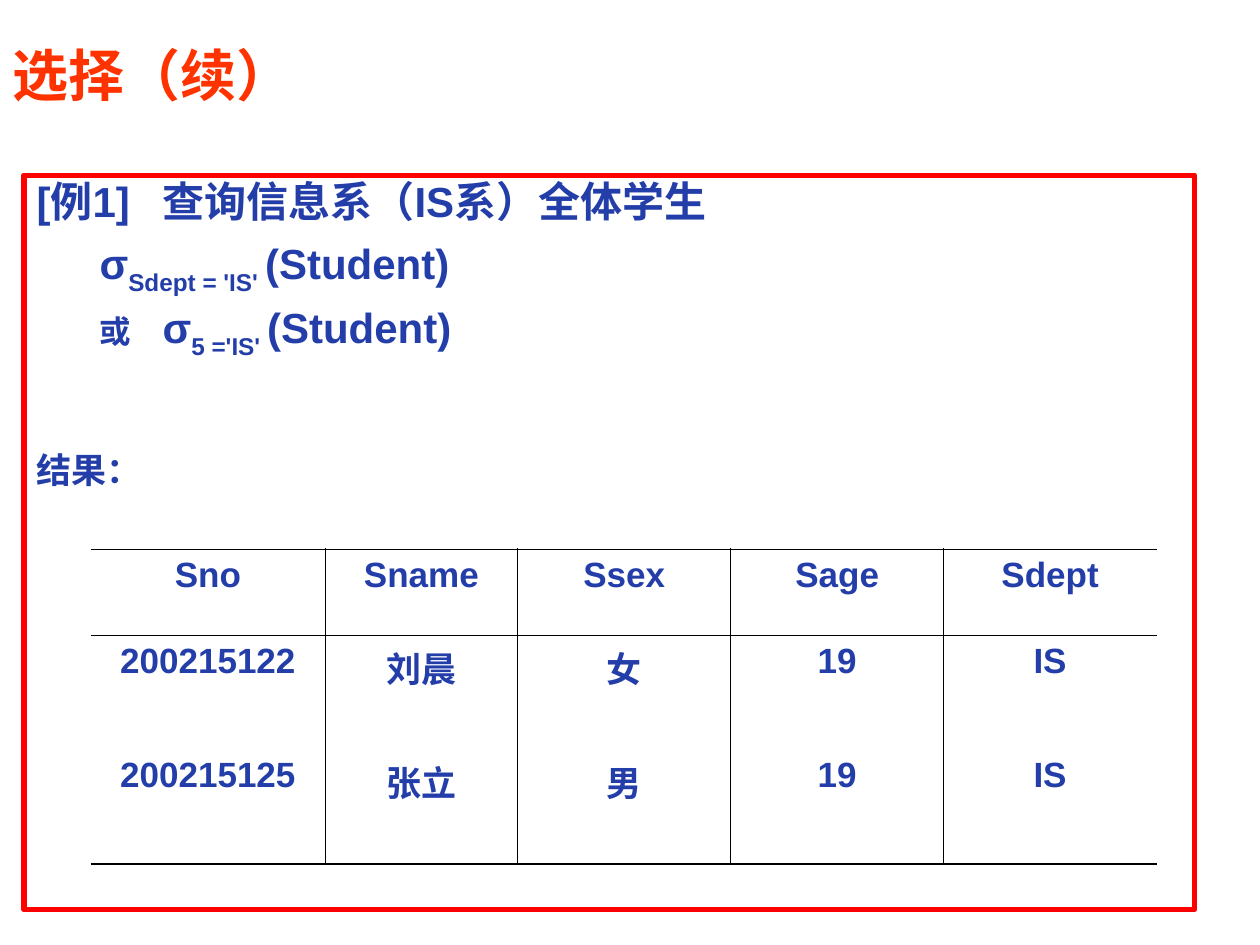
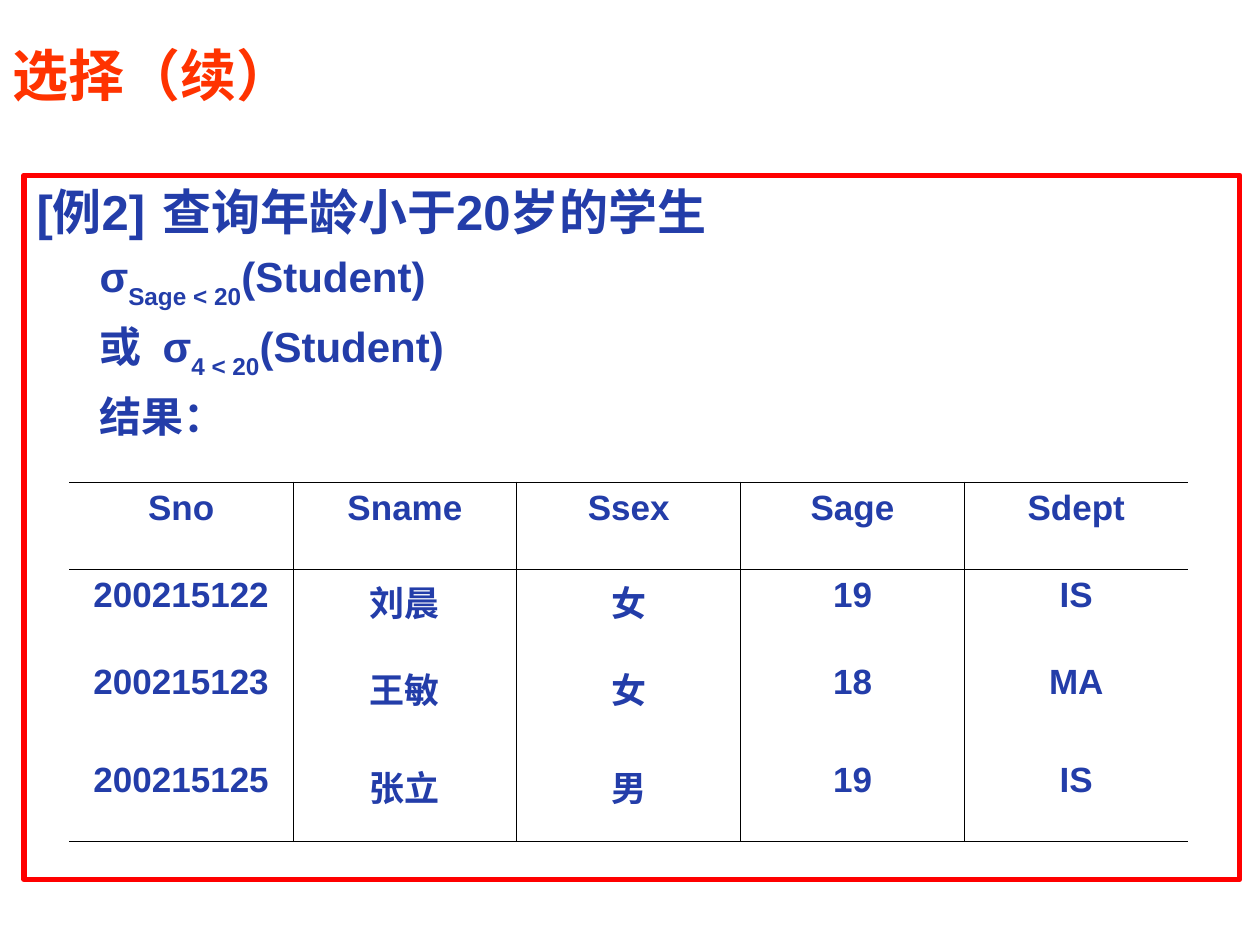
from dataclasses import dataclass

from pptx import Presentation
from pptx.dml.color import RGBColor
from pptx.enum.text import MSO_ANCHOR, MSO_AUTO_SIZE, PP_ALIGN
from pptx.oxml.ns import qn
from pptx.util import Inches, Pt
from lxml.etree import SubElement


@dataclass(frozen=True)
class Theme:
    """Colours, fonts and type sizes shared by both slides."""
    title_color: str = "FF3300"
    text_color: str = "233DA9"
    frame_color: str = "FF0000"
    rule_color: str = "000000"
    latin: str = "Arial"
    cjk: str = "Noto Sans CJK SC"
    title: int = 32
    example: int = 28
    formula: int = 24
    small: int = 20
    joiner: int = 18
    frame: float = 3
    thick: float = 1.08
    thin: float = 0.45


THEME = Theme()
HEADER = ["Sno", "Sname", "Ssex", "Sage", "Sdept"]
LIU = ["200215122", "刘晨", "女", "19", "IS"]
WANG = ["200215123", "王敏", "女", "18", "MA"]
ZHANG = ["200215125", "张立", "男", "19", "IS"]


def apply(obj, formats):
    """Set each named attribute of an object."""
    for name, value in formats.items():
        setattr(obj, name, value)


def place(s, left, top, width, height):
    """Move and size a shape, in inches."""
    apply(s, {"left": Inches(left), "top": Inches(top),
              "width": Inches(width), "height": Inches(height)})


def add_run(p, text, size, color=THEME.text_color, latin=THEME.latin, subscript=False):
    """Add a bold run with its Latin and East Asian fonts."""
    r = p.add_run()
    r.text = text
    apply(r.font, {"size": Pt(size), "bold": True, "name": latin})
    r.font.color.rgb = RGBColor.from_string(color)
    rPr = r._r.get_or_add_rPr()
    SubElement(rPr, qn("a:ea"), typeface=THEME.cjk)
    if subscript:
        rPr.set("baseline", "-30000")


def set_tabs(p, stops):
    """Remove bullet and indent, then set left tab stops in inches."""
    pPr = p._p.get_or_add_pPr()
    pPr.set("marL", "0")
    pPr.set("indent", "0")
    SubElement(pPr, qn("a:buNone"))
    tabs = SubElement(pPr, qn("a:tabLst"))
    for stop in stops:
        SubElement(tabs, qn("a:tab"), pos=str(Inches(stop)), algn="l")


def add_title(slide, text):
    """Fill the title placeholder."""
    s = slide.shapes.title
    place(s, 0, 0.28, 8.08, 0.62)
    apply(s.text_frame, {"vertical_anchor": MSO_ANCHOR.MIDDLE,
                         "auto_size": MSO_AUTO_SIZE.NONE})
    p = s.text_frame.paragraphs[0]
    p.alignment = PP_ALIGN.LEFT
    add_run(p, text, THEME.title, THEME.title_color, THEME.cjk)


def add_body(slide, box, lines, spacing):
    """Fill the framed body with lines of (space before, tab stops, runs)."""
    s = slide.placeholders[1]
    place(s, *box)
    s.line.color.rgb = RGBColor.from_string(THEME.frame_color)
    s.line.width = Pt(THEME.frame)
    tf = s.text_frame
    apply(tf, {"vertical_anchor": MSO_ANCHOR.TOP, "auto_size": MSO_AUTO_SIZE.NONE})
    for i, (before, stops, runs) in enumerate(lines):
        p = tf.add_paragraph() if i else tf.paragraphs[0]
        set_tabs(p, stops)
        apply(p, {"alignment": PP_ALIGN.JUSTIFY, "line_spacing": spacing,
                  "space_before": Pt(before)})
        for text, size, *subscript in runs:
            add_run(p, text, size, subscript=bool(subscript))


def selection(lead, condition):
    """Return the runs of a selection on Student."""
    size = THEME.formula
    return [(lead, size), (condition, size, True), ("(Student)", size)]


def set_borders(cell, widths):
    """Draw the cell sides whose width is not zero and hide the others."""
    tcPr = cell._tc.get_or_add_tcPr()
    for side, width in zip("LRTB", widths):
        ln = SubElement(tcPr, qn(f"a:ln{side}"), w=str(Pt(width)))
        if width:
            fill = SubElement(ln, qn("a:solidFill"))
            SubElement(fill, qn("a:srgbClr"), val=THEME.rule_color)
        else:
            SubElement(ln, qn("a:noFill"))


def add_result(slide, left, top, widths, heights, students):
    """Add the result table, ruled around its header and between its columns."""
    rows = [HEADER, *students]
    table = slide.shapes.add_table(len(rows), len(HEADER), Inches(left), Inches(top),
                                   Inches(sum(widths)), Inches(sum(heights))).table
    apply(table, {"first_row": False, "horz_banding": False})
    for column, width in zip(table.columns, widths):
        column.width = Inches(width)
    for row, height in zip(table.rows, heights):
        row.height = Inches(height)
    rules = [THEME.thick, THEME.thin] + [0] * (len(rows) - 2) + [THEME.thick]
    sides = [0] + [THEME.thin] * (len(HEADER) - 1) + [0]
    for i, values in enumerate(rows):
        for j, value in enumerate(values):
            cell = table.cell(i, j)
            set_borders(cell, (*sides[j:j + 2], *rules[i:i + 2]))
            cell.fill.background()
            p = cell.text_frame.paragraphs[0]
            p.alignment = PP_ALIGN.CENTER
            add_run(p, value, THEME.small)


def add_example(prs, box, lines, spacing, result):
    """Add one slide with a selection example and its result."""
    slide = prs.slides.add_slide(prs.slide_layouts[1])
    add_title(slide, "选择（续）")
    add_body(slide, box, lines, spacing)
    add_result(slide, *result)


def main():
    """Build both slides and save them."""
    prs = Presentation()
    apply(prs, {"slide_width": Inches(10), "slide_height": Inches(7.5)})
    t = THEME
    department = [
        (0, [1.17], [("[例1]\t查询信息系（IS系）全体学生", t.formula)]),
        (6, [2.07], selection("\tσ", "Sdept = 'IS' ")),
        (6, [1.38, 2.09], [("\t或", t.joiner), *selection("\tσ", "5 ='IS' ")]),
        (56, [], [("结果：", t.small)]),
    ]
    add_example(prs, (0.19, 1.39, 9.29, 5.83), department, 0.9,
                (0.72, 4.36, [1.86, 1.53] + [1.69] * 3, [0.68, 0.91, 0.91], [LIU, ZHANG]))
    age = [
        (0, [1.37], [("[例2]\t查询年龄小于20岁的学生", t.example)]),
        (6, [1.31], selection("\tσ", "Sage < 20")),
        (6, [0.38, 1.25], selection("\t或\tσ", "4 < 20")),
        (6, [0.38], [("\t结果：", t.formula)]),
    ]
    add_example(prs, (0.19, 1.39, 9.65, 5.59), age, 1.0,
                (0.55, 3.83, [8.88 / 5] * 5, [0.69, 0.69, 0.78, 0.69], [LIU, WANG, ZHANG]))
    prs.save("out.pptx")


if __name__ == "__main__":
    main()
